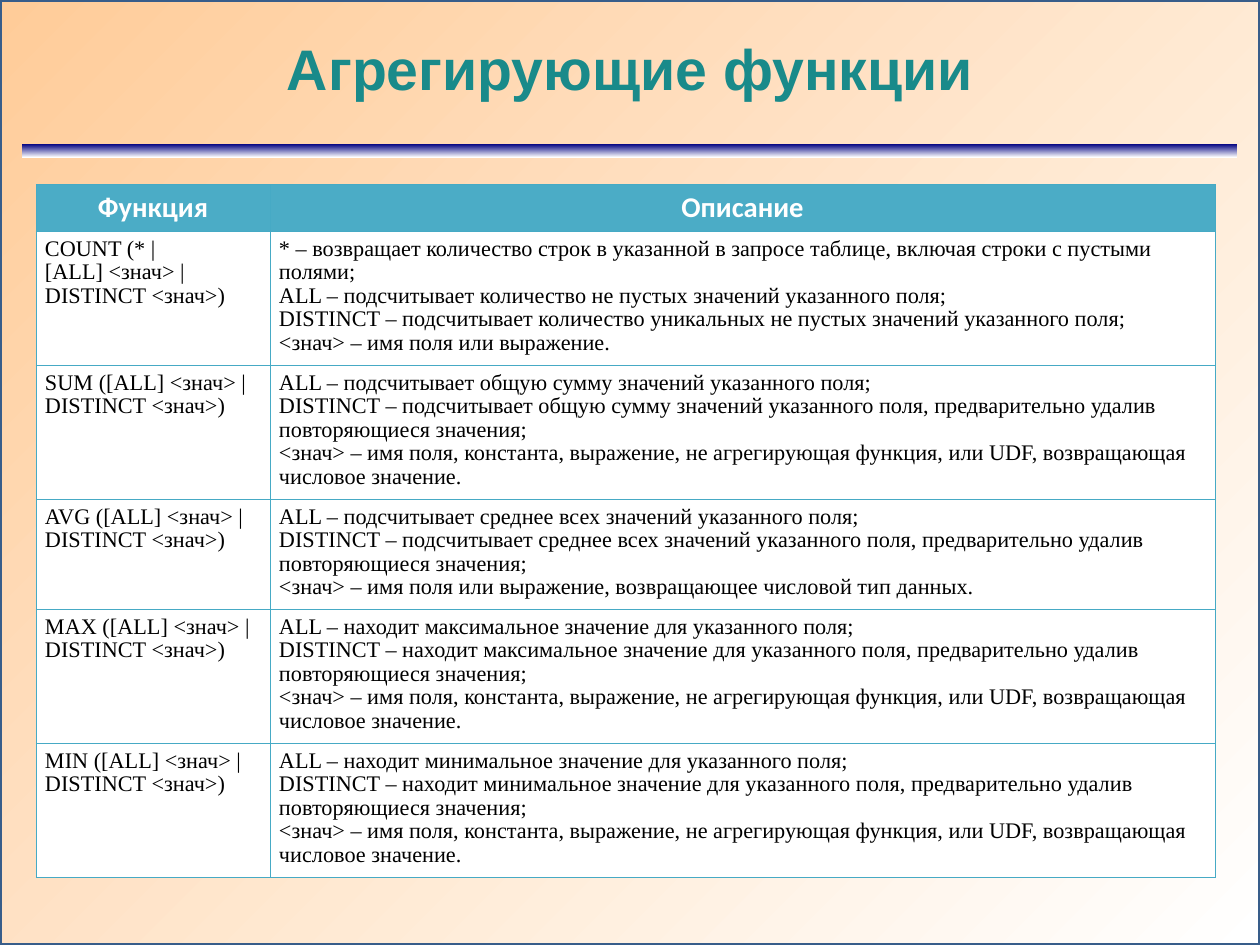
from lxml import etree
from pptx import Presentation
from pptx.dml.color import RGBColor
from pptx.enum import shapes, text
from pptx.oxml.ns import qn
from pptx.util import Cm, Pt

# Content
HEADING = "Агрегирующие функции"
COLUMNS = ("Функция", "Описание")
NUMERIC_VALUE = ("<знач> – имя поля, константа, выражение, не агрегирующая функция, "
                 "или UDF, возвращающая числовое значение.")
# Each function: lines of its syntax, paragraphs of its description
FUNCTIONS = [
    (("COUNT (* |", "[ALL] <знач> |", "DISTINCT <знач>)"),
     ("* – возвращает количество строк в указанной в запросе таблице, "
      "включая строки с пустыми полями;",
      "ALL – подсчитывает количество не пустых значений указанного поля;",
      "DISTINCT – подсчитывает количество уникальных не пустых значений указанного поля;",
      "<знач> – имя поля или выражение.")),
    (("SUM ([ALL] <знач> |", "DISTINCT <знач>)"),
     ("ALL – подсчитывает общую сумму значений указанного поля;",
      "DISTINCT – подсчитывает общую сумму значений указанного поля, "
      "предварительно удалив повторяющиеся значения;",
      NUMERIC_VALUE)),
    (("AVG ([ALL] <знач> |", "DISTINCT <знач>)"),
     ("ALL – подсчитывает среднее всех значений указанного поля;",
      "DISTINCT – подсчитывает среднее всех значений указанного поля, "
      "предварительно удалив повторяющиеся значения;",
      "<знач> – имя поля или выражение, возвращающее числовой тип данных.")),
    (("MAX ([ALL] <знач> |", "DISTINCT <знач>)"),
     ("ALL – находит максимальное значение для указанного поля;",
      "DISTINCT – находит максимальное значение для указанного поля, "
      "предварительно удалив повторяющиеся значения;",
      NUMERIC_VALUE)),
    (("MIN ([ALL] <знач> |", "DISTINCT <знач>)"),
     ("ALL – находит минимальное значение для указанного поля;",
      "DISTINCT – находит минимальное значение для указанного поля, "
      "предварительно удалив повторяющиеся значения;",
      NUMERIC_VALUE)),
]
COLORS = {"peach": "FFCC99", "white": "FFFFFF", "navy": "000080", "frame": "385D8A",
          "title": "198A8A", "header": "4BACC6", "border": "46AAC5", "text": "000000"}

# Layout
WIDTH, HEIGHT = Cm(28), Cm(21)
MARGIN = Cm(0.5)
COLUMN_WIDTHS = (Cm(5.2), Cm(21))
ROW_HEIGHTS = [Cm(h) for h in (1.04, 2.98, 2.98, 2.44, 2.98, 2.98)]


def rgb(name):
    return RGBColor.from_string(COLORS[name])


def set_font(paragraph, face, size, color, bold=False):
    font = paragraph.font
    font.name, font.size, font.bold = face, Pt(size), bold
    font.color.rgb = rgb(color)


def add_gradient_box(left, top, width, height, start, end, angle):
    box = slide.shapes.add_shape(shapes.MSO_SHAPE.RECTANGLE, left, top, width, height)
    box.shadow.inherit = False
    box.fill.gradient()
    box.fill.gradient_angle = angle
    for stop, color in zip(box.fill.gradient_stops, (start, end)):
        stop.color.rgb = rgb(color)
    return box


def format_cell(cell, fill):
    cell.fill.solid()
    cell.fill.fore_color.rgb = rgb(fill)
    cell.margin_left = cell.margin_right = Cm(0.2)
    cell.margin_top = cell.margin_bottom = Cm(0.13)
    properties = cell._tc.get_or_add_tcPr()
    for index, side in enumerate(("lnL", "lnR", "lnT", "lnB")):
        line = etree.Element(qn("a:" + side), w=str(Pt(0.34)))
        solid = etree.SubElement(line, qn("a:solidFill"))
        etree.SubElement(solid, qn("a:srgbClr"), val=COLORS["border"])
        properties.insert(index, line)


prs = Presentation()
prs.slide_width, prs.slide_height = WIDTH, HEIGHT
slide = prs.slides.add_slide(prs.slide_layouts[5])

# Background with frame, and the bar under the title
background = add_gradient_box(0, 0, WIDTH, HEIGHT, "peach", "white", 315)
background.line.color.rgb = rgb("frame")
background.line.width = Pt(2)
bar = add_gradient_box(MARGIN, Cm(3.2), WIDTH - 2 * MARGIN, Cm(0.3), "navy", "white", 270)
bar.line.fill.background()

# Title, brought in front of the background
title = slide.shapes.title
slide.shapes._spTree.append(title._element)
title.left, title.top = MARGIN, MARGIN
title.width, title.height = WIDTH - 2 * MARGIN, Cm(2)
frame = title.text_frame
frame.text = HEADING
frame.margin_left = frame.margin_right = frame.margin_top = frame.margin_bottom = 0
frame.vertical_anchor = text.MSO_ANCHOR.MIDDLE
frame.paragraphs[0].alignment = text.PP_ALIGN.CENTER
set_font(frame.paragraphs[0], "Arial", 36, "title", bold=True)

# Table
table = slide.shapes.add_table(len(ROW_HEIGHTS), len(COLUMNS), Cm(0.8), Cm(4.1),
                               sum(COLUMN_WIDTHS), sum(ROW_HEIGHTS)).table
for column, width in zip(table.columns, COLUMN_WIDTHS):
    column.width = width
for row, height in zip(table.rows, ROW_HEIGHTS):
    row.height = height

# Header row
for cell, label in zip(table.rows[0].cells, COLUMNS):
    format_cell(cell, "header")
    cell.text = label
    heading = cell.text_frame.paragraphs[0]
    heading.alignment = text.PP_ALIGN.CENTER
    set_font(heading, "Calibri", 18, "white", bold=True)

# Function rows
for number, (syntax, description) in enumerate(FUNCTIONS, start=1):
    syntax_cell, description_cell = table.rows[number].cells
    signature = syntax_cell.text_frame.paragraphs[0]
    for index, part in enumerate(syntax):
        if index:
            signature.add_line_break()
        signature.add_run().text = part
    description_cell.text = "\n".join(description)
    for cell in (syntax_cell, description_cell):
        format_cell(cell, "white")
        for paragraph in cell.text_frame.paragraphs:
            paragraph.line_spacing = 0.96
            set_font(paragraph, "Times New Roman", 14, "text")

prs.save("out.pptx")
